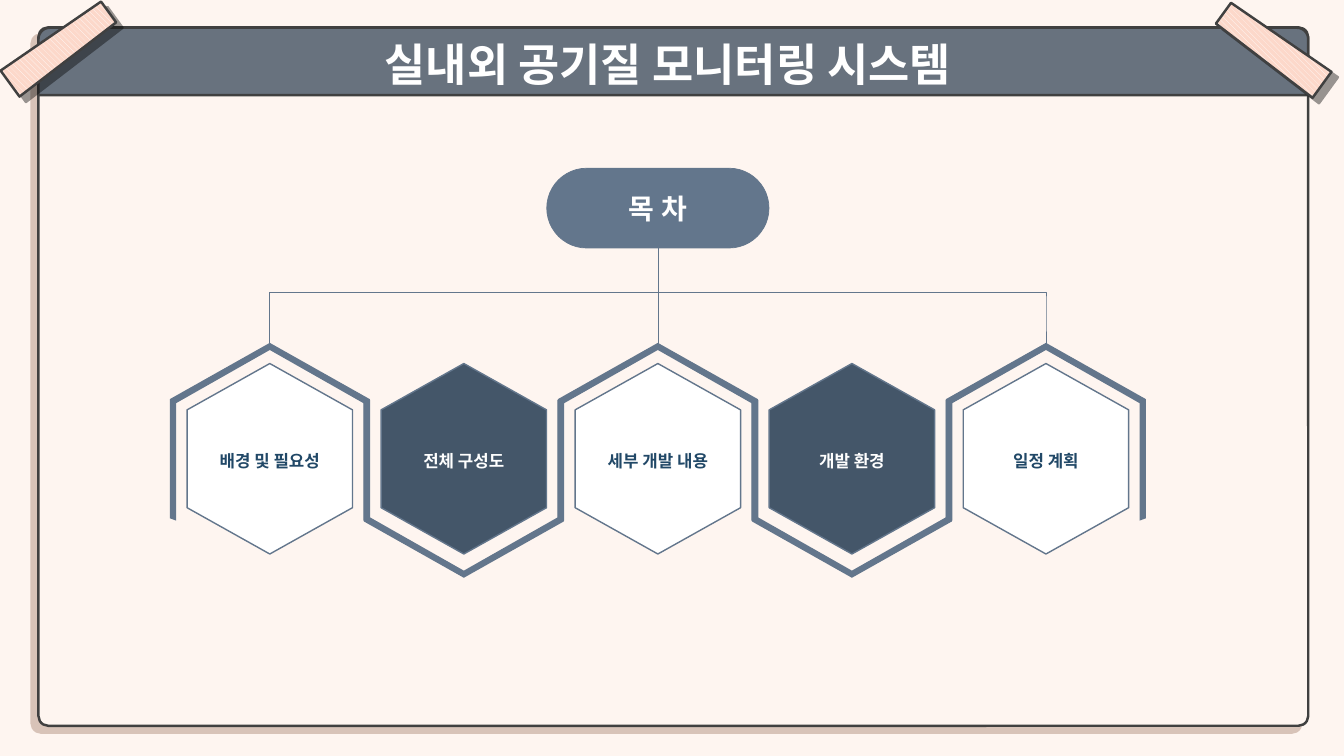
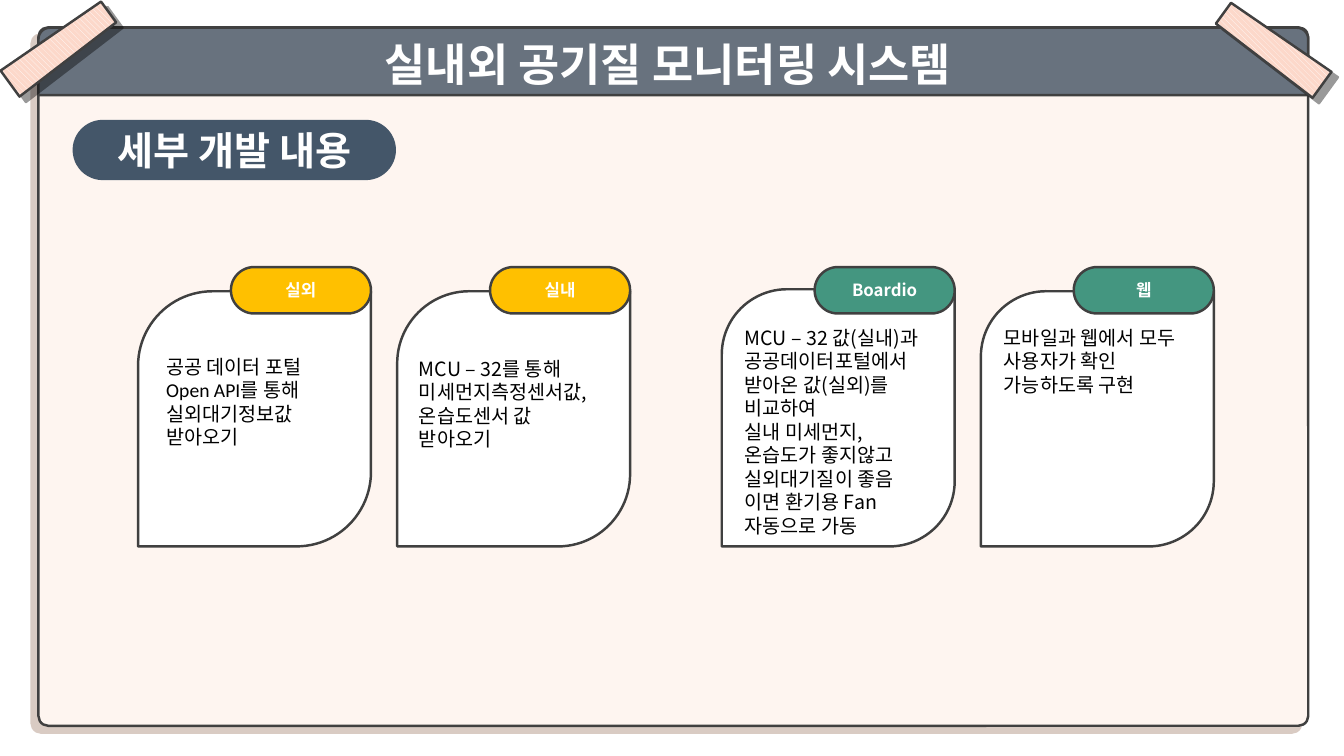
from dataclasses import dataclass

import lxml.etree
import pptx
import pptx.dml.color
import pptx.enum.dml
import pptx.enum.shapes
import pptx.enum.text
import pptx.oxml.ns
import pptx.util

Cm = pptx.util.Cm
Pt = pptx.util.Pt
SHAPE = pptx.enum.shapes.MSO_SHAPE
ALIGN = pptx.enum.text.PP_ALIGN
ANCHOR = pptx.enum.text.MSO_ANCHOR


@dataclass(frozen=True)
class Theme:
    font: str = "Noto Sans CJK KR"
    latin_font: str = "Calibri"
    paper: str = "FEF5F0"
    white: str = "FFFFFF"
    black: str = "000000"
    outline: str = "404040"
    header: str = "68727E"
    slate: str = "63768C"
    navy: str = "445669"
    label: str = "214867"
    tape: str = "FCD8CA"
    panel_shadow: str = "622706"
    yellow: str = "FFC000"
    green: str = "449680"
    title_size: int = 32
    heading_size: int = 28
    agenda_size: int = 20
    body_size: int = 14
    label_size: int = 12
    outline_width: float = 1.75
    hexagon_width: float = 1
    hairline: float = 0.5


THEME = Theme()
TITLE = "실내외 공기질 모니터링 시스템 "
AGENDA = ["배경 및 필요성", "전체 구성도", "세부 개발 내용", "개발 환경", "일정 계획"]

# Agenda geometry in centimetres
FIRST_HEXAGON_X, HEXAGON_PITCH = 6.8, 4.89
HEXAGON_Y, FRAME_Y = 11.56, 11.6
HEXAGON_LENGTH, HEXAGON_BREADTH = 4.8, 4.17
# Upward frame as offsets from its centre
FRAME_RIGHT = [(2.52, -1.54), (2.52, 1.46), (2.36, 1.52), (2.36, -1.44)]
FRAME_OUTER_PEAK, FRAME_INNER_PEAK = (0, -2.96), (0, -2.78)

# Cards: tab, tab colour, top, corner, text offset, text top, text width, font, paragraphs
CARD_WIDTH, CARD_BOTTOM = 5.87, 13.77
CARD_STEP, PAIR_STEP, FIRST_CARD_X = 6.53, 14.71, 3.48
CARDS = [
    ("실외", THEME.yellow, 7.34, 0.32, 0.46, 8.81, 4.72, THEME.latin_font,
     ["공공 데이터 포털\vOpen API를 통해 실외대기정보값 받아오기"]),
    ("실내", THEME.yellow, 7.34, 0.31, 0.3, 8.86, 5.21, THEME.font,
     ["MCU – 32를 통해\v미세먼지측정센서값,", "온습도센서 값 받아오기"]),
    ("Boardio", THEME.green, 7.29, 0.28, 0.33, 8.08, 5.21, THEME.font,
     ["MCU – 32 값(실내)과 공공데이터포털에서 받아온 값(실외)를 비교하여 \v"
      "실내 미세먼지,온습도가 좋지않고 실외대기질이 좋음 이면 환기용 Fan 자동으로 가동"]),
    ("웹", THEME.green, 7.34, 0.28, 0.33, 8.08, 5.21, THEME.font,
     ["모바일과 웹에서 모두 사용자가 확인 가능하도록 구현"]),
]


def rgb(value):
    return pptx.dml.color.RGBColor.from_string(value)


def add_effects(element, shadow=None):
    """Give shape properties an effect list; shadow is (colour, opacity %, points, degrees)."""
    effects = lxml.etree.SubElement(element, pptx.oxml.ns.qn("a:effectLst"))
    if shadow:
        colour, opacity, distance, angle = shadow
        outer = lxml.etree.SubElement(
            effects, pptx.oxml.ns.qn("a:outerShdw"), blurRad="0",
            dist=str(Pt(distance)), dir=str(angle * 60000), rotWithShape="0")
        tint = lxml.etree.SubElement(outer, pptx.oxml.ns.qn("a:srgbClr"), val=colour)
        lxml.etree.SubElement(tint, pptx.oxml.ns.qn("a:alpha"), val=str(opacity * 1000))


def style_shape(shape, fill=None, line=None, line_width=THEME.outline_width, shadow=None):
    if fill:
        shape.fill.solid()
        shape.fill.fore_color.rgb = rgb(fill)
    else:
        shape.fill.background()
    if line:
        shape.line.color.rgb = rgb(line)
        shape.line.width = Pt(line_width)
    else:
        shape.line.fill.background()
    if shadow:
        add_effects(shape._element.spPr, shadow)
    else:
        shape.shadow.inherit = False


def add_box(slide, kind, left, top, width, height, adjustments=(), **style):
    shape = slide.shapes.add_shape(kind, Cm(left), Cm(top), Cm(width), Cm(height))
    for index, value in enumerate(adjustments):
        shape.adjustments[index] = value
    style_shape(shape, **style)
    return shape


def write(shape, paragraphs, size, colour, bold=True, align=ALIGN.CENTER,
          font=THEME.font, spacing=None):
    frame = shape.text_frame
    frame.word_wrap = True
    for index, text in enumerate(paragraphs):
        paragraph = frame.add_paragraph() if index else frame.paragraphs[0]
        paragraph.text = text
        paragraph.alignment = align
        paragraph.line_spacing = spacing
        paragraph.font.name = font
        paragraph.font.size = Pt(size)
        paragraph.font.bold = bold
        paragraph.font.color.rgb = rgb(colour)
        defaults = paragraph._p.pPr.find(pptx.oxml.ns.qn("a:defRPr"))
        east_asian = lxml.etree.Element(pptx.oxml.ns.qn("a:ea"), typeface=THEME.font)
        defaults.find(pptx.oxml.ns.qn("a:latin")).addnext(east_asian)


def add_pill(slide, left, top, width, height, text, size, **style):
    pill = add_box(slide, SHAPE.ROUNDED_RECTANGLE, left, top, width, height, [0.5], **style)
    pill.text_frame.vertical_anchor = ANCHOR.MIDDLE
    write(pill, [text], size, THEME.white)
    return pill


def add_text(slide, left, top, width, height, paragraphs, size, colour, **options):
    box = slide.shapes.add_textbox(Cm(left), Cm(top), Cm(width), Cm(height))
    write(box, paragraphs, size, colour, **options)


def add_tape(slide, left, top, rotation):
    tape = add_box(slide, SHAPE.TRAPEZOID, left, top, 0.81, 3.07, [0.1],
                   line=THEME.outline, shadow=(THEME.black, 40, 6, 40))
    tape.rotation = rotation
    tape.fill.patterned()
    tape.fill.pattern = pptx.enum.dml.MSO_PATTERN.WIDE_DOWNWARD_DIAGONAL
    tape.fill.fore_color.rgb = rgb(THEME.white)
    tape.fill.back_color.rgb = rgb(THEME.tape)


def add_board_slide(presentation):
    """Add a slide with the taped panel and the title band."""
    slide = presentation.slides.add_slide(presentation.slide_layouts[6])
    add_box(slide, SHAPE.ROUNDED_RECTANGLE, 0.97, 0.69, 32, 17.6, [0.014],
            fill=THEME.paper, line=THEME.outline,
            shadow=(THEME.panel_shadow, 23, 7, 135))
    band = add_box(slide, SHAPE.ROUND_2_SAME_RECTANGLE, 0.97, 0.7, 32, 1.7,
                   fill=THEME.header, line=THEME.outline)
    band.text_frame.vertical_anchor = ANCHOR.MIDDLE
    write(band, [TITLE], THEME.title_size, THEME.white)
    add_tape(slide, 1.09, -0.33, 54)
    add_tape(slide, 31.67, -0.3, 306)
    return slide


def add_hexagon_frame(slide, center_x, direction):
    """Draw an open half frame that points up (1) or down (-1)."""
    mirrored = [(-x, y) for x, y in reversed(FRAME_RIGHT)]
    outline = [FRAME_OUTER_PEAK, *FRAME_RIGHT, FRAME_INNER_PEAK, *mirrored]
    points = [(Cm(center_x + x), Cm(FRAME_Y + direction * y)) for x, y in outline]
    builder = slide.shapes.build_freeform(*points[0], scale=1.0)
    builder.add_line_segments(points[1:], close=True)
    style_shape(builder.convert_to_shape(), fill=THEME.slate)


def add_hexagon(slide, center_x, text, dark):
    hexagon = add_box(
        slide, SHAPE.HEXAGON, center_x - HEXAGON_LENGTH / 2,
        HEXAGON_Y - HEXAGON_BREADTH / 2, HEXAGON_LENGTH, HEXAGON_BREADTH, [0.28],
        fill=THEME.navy if dark else THEME.white, line=THEME.slate,
        line_width=THEME.hexagon_width)
    hexagon.rotation = 270
    add_text(slide, center_x - 1.88, 10.97, 3.76, 0.91, [text], THEME.label_size,
             THEME.white if dark else THEME.label, spacing=1.5)


def add_bracket(slide, center_x):
    """Draw a bracket that opens downwards over two hexagon steps."""
    depth, span = 1.32, 2 * HEXAGON_PITCH
    bracket = add_box(slide, SHAPE.LEFT_BRACKET, center_x - depth / 2, 8.03 - span / 2,
                      depth, span, [0], line=THEME.slate, line_width=THEME.hairline)
    bracket.rotation = 90


def build_agenda(presentation):
    slide = add_board_slide(presentation)
    slide.background.fill.solid()
    slide.background.fill.fore_color.rgb = rgb(THEME.paper)
    centers = [FIRST_HEXAGON_X + index * HEXAGON_PITCH for index in range(len(AGENDA))]
    for index, (center_x, text) in enumerate(zip(centers, AGENDA)):
        dark = index % 2 == 1
        add_hexagon_frame(slide, center_x, -1 if dark else 1)
        add_hexagon(slide, center_x, text, dark)
    for center_x in centers[1::2]:
        add_bracket(slide, center_x)
    pill = add_pill(slide, centers[2] - 2.8, 4.24, 5.6, 2.01, "목 차", THEME.agenda_size,
                    fill=THEME.slate, line=THEME.slate, line_width=THEME.hairline)
    stem = slide.shapes.add_connector(
        pptx.enum.shapes.MSO_CONNECTOR.STRAIGHT,
        Cm(centers[2]), Cm(6.25), Cm(centers[2]), Cm(7.39))
    stem.begin_connect(pill, 2)
    stem.line.color.rgb = rgb(THEME.slate)
    stem.line.width = Pt(THEME.hairline)
    add_effects(stem._element.spPr)


def add_card(slide, left, card):
    tab, colour, top, corner, offset, text_top, text_width, font, paragraphs = card
    add_box(slide, SHAPE.ROUND_2_DIAG_RECTANGLE, left, top, CARD_WIDTH, CARD_BOTTOM - top,
            [corner, 0], fill=THEME.white, line=THEME.outline)
    add_pill(slide, left + CARD_WIDTH - 3.53, 6.73, 3.53, 1.17, tab, THEME.label_size,
             fill=colour, line=THEME.outline)
    add_text(slide, left + offset, text_top, text_width, 2.64, paragraphs,
             THEME.body_size, THEME.black, bold=False, align=ALIGN.LEFT, font=font)


def build_details(presentation):
    slide = add_board_slide(presentation)
    for index, card in enumerate(CARDS):
        pair, position = divmod(index, 2)
        add_card(slide, FIRST_CARD_X + pair * PAIR_STEP + position * CARD_STEP, card)
    add_pill(slide, 1.83, 3.02, 8.15, 1.52, AGENDA[2], THEME.heading_size, fill=THEME.navy)


def main():
    presentation = pptx.Presentation()
    presentation.slide_width = Cm(33.87)
    presentation.slide_height = Cm(19.05)
    build_agenda(presentation)
    build_details(presentation)
    presentation.save("out.pptx")


if __name__ == "__main__":
    main()
